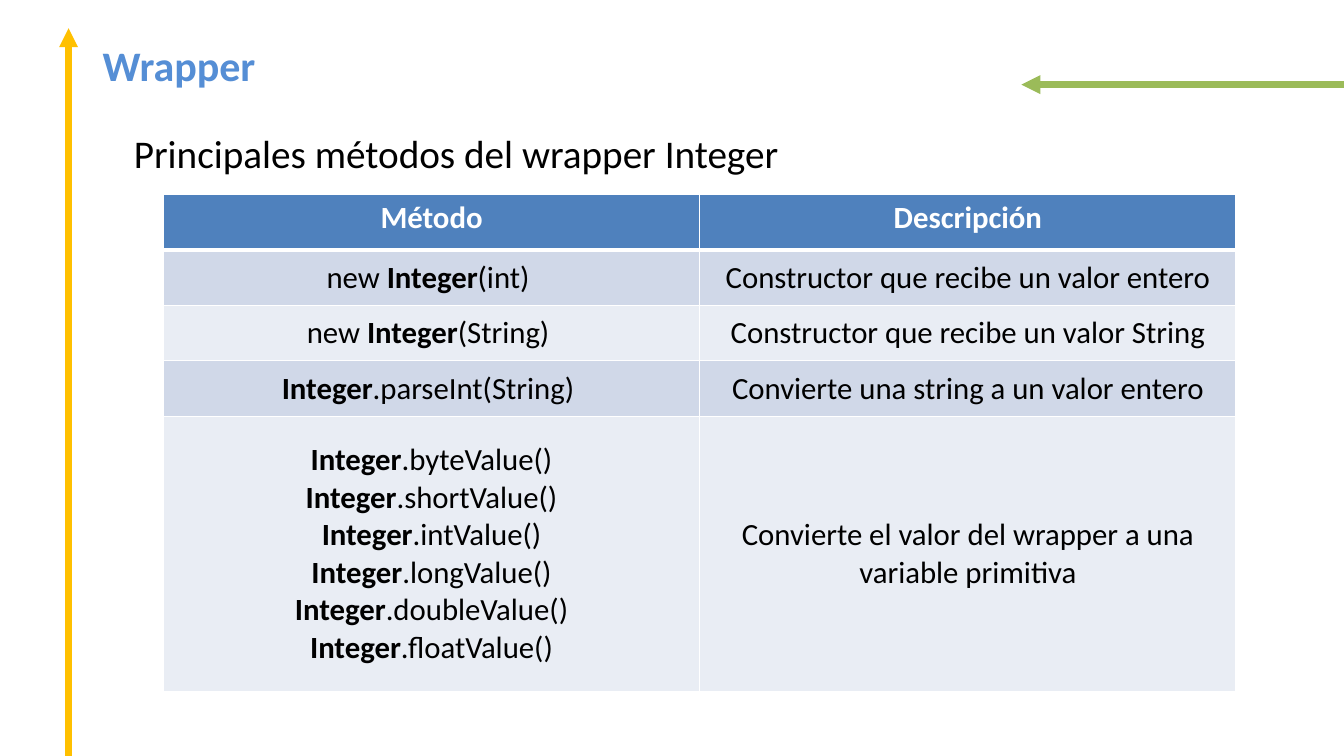
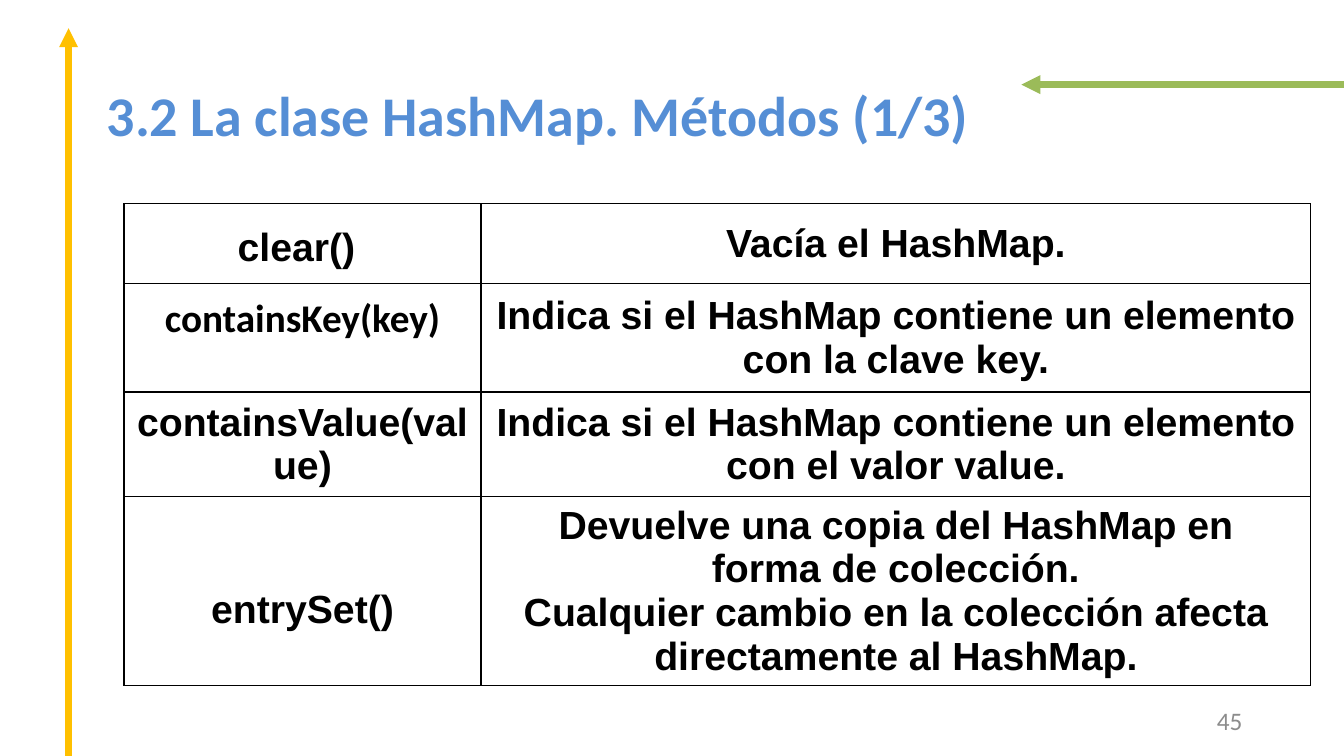
from dataclasses import dataclass

from lxml.etree import SubElement
from pptx import Presentation
from pptx.dml.color import RGBColor
from pptx.enum.shapes import MSO_CONNECTOR
from pptx.enum.text import MSO_ANCHOR, PP_ALIGN
from pptx.oxml.ns import qn
from pptx.slide import Slide
from pptx.table import Table, _Cell
from pptx.text.text import TextFrame
from pptx.util import Inches, Pt

COLORS = {
    "title": "558ED5",
    "text": "000000",
    "white": "FFFFFF",
    "page_number": "8C8C8C",
    "horizontal_arrow": "9BBB59",
    "vertical_arrow": "FFC000",
    "header": "4F81BD",
    "dark_band": "D0D8E8",
    "light_band": "E9EDF4",
}
BORDER_TAGS = {"left": "a:lnL", "right": "a:lnR", "top": "a:lnT", "bottom": "a:lnB"}


@dataclass(frozen=True)
class Arrow:
    start: tuple[float, float]
    end: tuple[float, float]
    color: str


@dataclass(frozen=True)
class MethodCell:
    """Table cell with its padding in inches."""
    text: str
    font: str = "Arial"
    anchor: MSO_ANCHOR = MSO_ANCHOR.MIDDLE
    left: float = 0.06
    right: float = 0.06
    top: float = 0


ARROWS = (
    Arrow((13.33, 0.84), (10.13, 0.84), "horizontal_arrow"),
    Arrow((0.68, 7.5), (0.68, 0.28), "vertical_arrow"),
)

WRAPPER_ROWS = (
    ("*Método*", "*Descripción*"),
    ("new *Integer*(int) ", "Constructor que recibe un valor entero"),
    ("new *Integer*(String) ", "Constructor que recibe un valor String"),
    ("*Integer*.parseInt(String) ", "Convierte una string a un valor entero"),
    (
        "\n".join(
            f"*Integer*.{kind}Value()"
            for kind in ("byte", "short", "int", "long", "double", "float")
        ),
        "Convierte el valor del wrapper a una variable primitiva",
    ),
)

HASHMAP_ROWS = (
    (
        MethodCell("*clear()*", left=0.08, right=0.2, top=0.08),
        MethodCell("*Vacía el HashMap.*"),
    ),
    (
        MethodCell("*containsKey(key)*", font="Calibri", anchor=MSO_ANCHOR.TOP,
                   left=0.08, right=0.08, top=0.12),
        MethodCell("*Indica si el HashMap contiene un elemento con la clave key.*"),
    ),
    (
        MethodCell("*containsValue(value)*", left=0.08, right=0.08),
        MethodCell("*Indica si el HashMap contiene un elemento con el valor value.*"),
    ),
    (
        MethodCell("*entrySet()*", left=0.08, right=0.08, top=0.38),
        MethodCell(
            "*Devuelve una copia del HashMap en forma de colección.*\n"
            "*Cualquier cambio en la colección afecta directamente al HashMap.*",
            left=0.24, right=0.24,
        ),
    ),
)


def rgb(name: str) -> RGBColor:
    return RGBColor.from_string(COLORS[name])


def write_text(frame: TextFrame, text: str, *, size: float, color: str = "text",
               font: str = "Calibri", align: PP_ALIGN = PP_ALIGN.LEFT) -> None:
    """Write one paragraph per line; text between asterisks is bold."""
    for index, line in enumerate(text.split("\n")):
        paragraph = frame.add_paragraph() if index else frame.paragraphs[0]
        paragraph.alignment = align
        for part_index, part in enumerate(line.split("*")):
            if not part:
                continue
            run = paragraph.add_run()
            run.text = part
            run.font.name = font
            run.font.size = Pt(size)
            run.font.bold = part_index % 2 == 1
            run.font.color.rgb = rgb(color)


def add_text(slide: Slide, text: str, left: float, top: float, width: float,
             height: float, *, size: float, color: str = "text",
             align: PP_ALIGN = PP_ALIGN.LEFT,
             anchor: MSO_ANCHOR = MSO_ANCHOR.MIDDLE) -> None:
    box = slide.shapes.add_textbox(
        Inches(left), Inches(top), Inches(width), Inches(height)
    )
    box.text_frame.word_wrap = True
    box.text_frame.vertical_anchor = anchor
    write_text(box.text_frame, text, size=size, color=color, align=align)


def add_title(slide: Slide, text: str, left: float, top: float, size: float) -> None:
    add_text(slide, f"*{text}*", left, top, 12.05, 0.86, size=size, color="title")


def add_arrow(slide: Slide, arrow: Arrow) -> None:
    connector = slide.shapes.add_connector(
        MSO_CONNECTOR.STRAIGHT, *map(Inches, arrow.start + arrow.end)
    )
    connector.line.color.rgb = rgb(arrow.color)
    connector.line.width = Pt(4.5)
    properties = connector.element.spPr
    SubElement(properties.find(qn("a:ln")), qn("a:tailEnd"), type="triangle")
    SubElement(properties, qn("a:effectLst"))


def add_framed_slide(presentation: Presentation) -> Slide:
    """Add a blank slide with the two arrows shared by the presentation."""
    slide = presentation.slides.add_slide(presentation.slide_layouts[6])
    for arrow in ARROWS:
        add_arrow(slide, arrow)
    return slide


def add_plain_table(slide: Slide, left: float, top: float,
                    widths: tuple[float, ...], heights: tuple[float, ...]) -> Table:
    table = slide.shapes.add_table(
        len(heights), len(widths), Inches(left), Inches(top),
        Inches(sum(widths)), Inches(sum(heights)),
    ).table
    table.first_row = False
    table.horz_banding = False
    for column, width in zip(table.columns, widths):
        column.width = Inches(width)
    for row, height in zip(table.rows, heights):
        row.height = Inches(height)
    return table


def set_borders(cell: _Cell, color: str, **widths: float) -> None:
    """Draw 1 pt borders, except for sides given another width; call before filling."""
    properties = cell._tc.get_or_add_tcPr()
    for side, tag in BORDER_TAGS.items():
        line = SubElement(properties, qn(tag), w=str(Pt(widths.get(side, 1))))
        fill = SubElement(line, qn("a:solidFill"))
        SubElement(fill, qn("a:srgbClr"), val=COLORS[color])


def build_wrapper_slide(presentation: Presentation) -> None:
    slide = add_framed_slide(presentation)
    add_title(slide, "Wrapper", 0.92, 0.21, 30)
    add_text(slide, "Principales métodos del wrapper Integer", 1.23, 1.23, 10.24, 0.57,
             size=28, anchor=MSO_ANCHOR.TOP)
    table = add_plain_table(slide, 1.62, 1.93, (5.32, 5.32), (0.55,) * 4 + (2.73,))
    for row_index, texts in enumerate(WRAPPER_ROWS):
        is_header = row_index == 0
        band = "dark_band" if row_index % 2 else "light_band"
        for column_index, text in enumerate(texts):
            cell = table.cell(row_index, column_index)
            set_borders(cell, "white", top=3 if row_index == 1 else 1,
                        bottom=3 if is_header else 1)
            cell.fill.solid()
            cell.fill.fore_color.rgb = rgb("header" if is_header else band)
            cell.vertical_anchor = MSO_ANCHOR.TOP if is_header else MSO_ANCHOR.MIDDLE
            write_text(cell.text_frame, text, size=22, align=PP_ALIGN.CENTER,
                       color="white" if is_header else "text")


def build_hashmap_slide(presentation: Presentation) -> None:
    slide = add_framed_slide(presentation)
    add_title(slide, "3.2 La clase HashMap. Métodos (1/3)", 0.96, 0.7, 40)
    add_text(slide, "45", 9.42, 6.95, 3, 0.4, size=18, color="page_number",
             align=PP_ALIGN.RIGHT)
    table = add_plain_table(slide, 1.23, 2.02, (3.54, 8.23), (0.79, 1.08, 1.04, 1.74))
    for row_index, method_cells in enumerate(HASHMAP_ROWS):
        for column_index, method_cell in enumerate(method_cells):
            cell = table.cell(row_index, column_index)
            set_borders(cell, "text")
            cell.fill.background()
            cell.vertical_anchor = method_cell.anchor
            cell.margin_left = Inches(method_cell.left)
            cell.margin_right = Inches(method_cell.right)
            cell.margin_top = Inches(method_cell.top)
            cell.margin_bottom = Inches(0)
            write_text(cell.text_frame, method_cell.text, size=28,
                       font=method_cell.font, align=PP_ALIGN.CENTER)


def main() -> None:
    presentation = Presentation()
    presentation.slide_width = Inches(13.33)
    presentation.slide_height = Inches(7.5)
    build_wrapper_slide(presentation)
    build_hashmap_slide(presentation)
    presentation.save("out.pptx")


if __name__ == "__main__":
    main()
